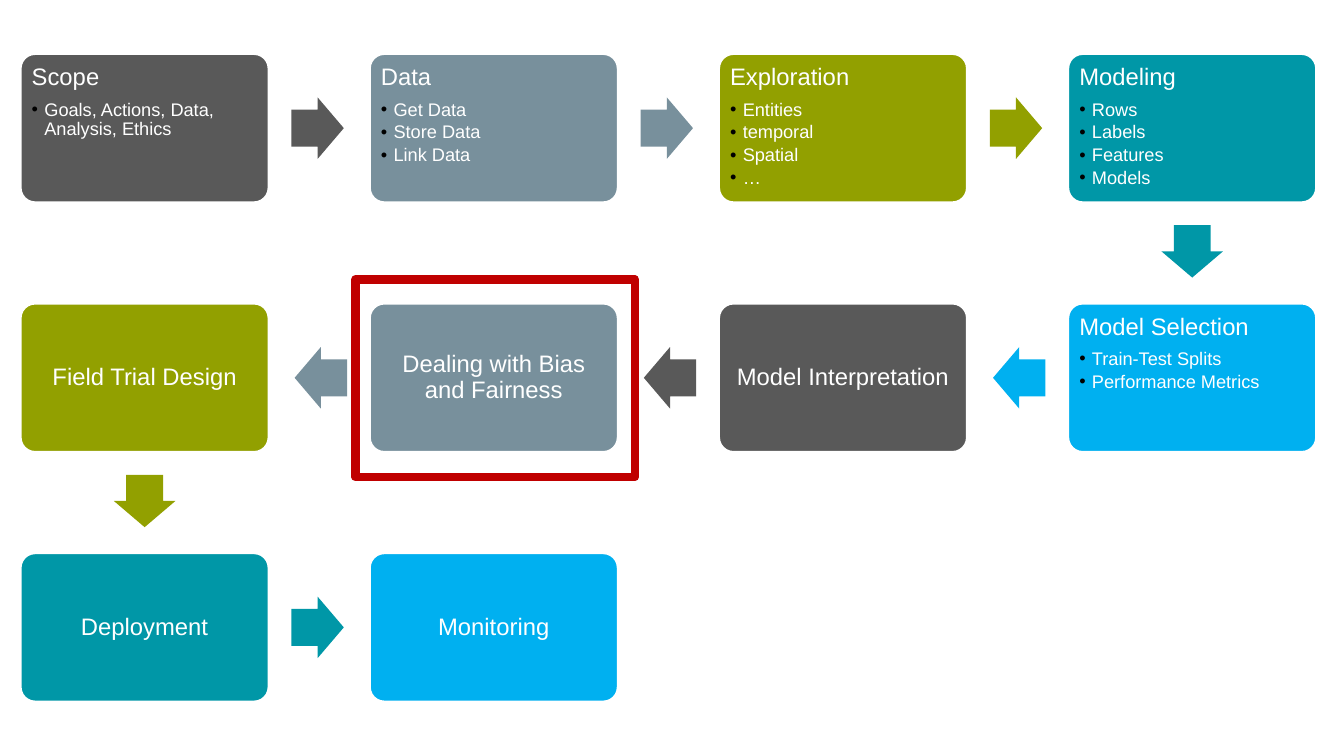
from itertools import cycle

from lxml import etree
from pptx import Presentation
from pptx.dml.color import RGBColor
from pptx.enum.shapes import MSO_SHAPE
from pptx.enum.text import MSO_ANCHOR, PP_ALIGN
from pptx.oxml.ns import qn
from pptx.util import Cm, Pt

ROUNDED, ARROW, RECTANGLE = (
    MSO_SHAPE.ROUNDED_RECTANGLE, MSO_SHAPE.RIGHT_ARROW, MSO_SHAPE.RECTANGLE)
TOP, MIDDLE = MSO_ANCHOR.TOP, MSO_ANCHOR.MIDDLE
LEFT, CENTER = PP_ALIGN.LEFT, PP_ALIGN.CENTER

WHITE = RGBColor(0xFF, 0xFF, 0xFF)
GREY = RGBColor(0x59, 0x59, 0x59)
SLATE = RGBColor(0x78, 0x90, 0x9C)
OLIVE = RGBColor(0x92, 0xA0, 0x00)
TEAL = RGBColor(0x00, 0x97, 0xA7)
BLUE = RGBColor(0x00, 0xB0, 0xF0)
RED = RGBColor(0xC0, 0x00, 0x00)

# Snake grid, in centimetres
COLUMNS = 4
GRID_LEFT, GRID_TOP = 0.51, 1.35
PITCH_X, PITCH_Y = 8.8, 6.29
STAGE_W, STAGE_H = 6.27, 3.76
ARROW_W, ARROW_H = 1.32, 1.55
ARROW_LAG = 0.04  # arrows sit slightly closer to the stage they leave

STAGES = [
    ("Scope", ["Goals, Actions, Data, Analysis, Ethics"]),
    ("Data", ["Get Data", "Store Data", "Link Data"]),
    ("Exploration", ["Entities", "temporal", "Spatial", "…"]),
    ("Modeling", ["Rows", "Labels", "Features", "Models"]),
    ("Model Selection", ["Train-Test Splits", "Performance Metrics"]),
    ("Model Interpretation", []),
    ("Dealing with Bias and Fairness", []),
    ("Field Trial Design", []),
    ("Deployment", []),
    ("Monitoring", []),
]


def stage_center(index):
    """Center of a stage; every second row runs right to left."""
    row, column = divmod(index, COLUMNS)
    if row % 2:
        column = COLUMNS - 1 - column
    return (GRID_LEFT + column * PITCH_X + STAGE_W / 2,
            GRID_TOP + row * PITCH_Y + STAGE_H / 2)


class ProcessSlide:
    font = "Arial"
    title_size, bullet_size = Pt(17), Pt(13)

    def __init__(self, slide):
        self.slide = slide

    def shape(self, kind, center, width, height):
        x, y = center
        shape = self.slide.shapes.add_shape(
            kind, Cm(x - width / 2), Cm(y - height / 2), Cm(width), Cm(height))
        shape.shadow.inherit = False
        return shape

    def paragraph(self, paragraph, text, size, space_after, align):
        paragraph.alignment = align
        paragraph.line_spacing = 0.9
        paragraph.space_after = space_after
        run = paragraph.add_run()
        run.text = text
        run.font.name = self.font
        run.font.size = size
        run.font.color.rgb = WHITE

    def bullet(self, paragraph, text):
        paragraph.level = 1
        properties = paragraph._p.get_or_add_pPr()
        properties.set("marL", str(Cm(0.32)))
        properties.set("indent", str(-Cm(0.32)))
        color = etree.SubElement(properties, qn("a:buClr"))
        etree.SubElement(color, qn("a:srgbClr"), val="000000")
        etree.SubElement(properties, qn("a:buFont"), typeface=self.font)
        etree.SubElement(properties, qn("a:buChar"), char="•")
        self.paragraph(paragraph, text, self.bullet_size, Pt(2.3), LEFT)

    def stage(self, center, color, title, bullets):
        stage = self.shape(ROUNDED, center, STAGE_W, STAGE_H)
        stage.adjustments[0] = 0.1
        stage.fill.solid()
        stage.fill.fore_color.rgb = color
        stage.line.color.rgb = WHITE
        stage.line.width = Pt(2)

        frame = stage.text_frame
        frame.word_wrap = True
        frame.vertical_anchor = TOP if bullets else MIDDLE
        frame.margin_left = frame.margin_right = Cm(0.18)
        frame.margin_top = frame.margin_bottom = Cm(0.18)
        self.paragraph(frame.paragraphs[0], title, self.title_size, Pt(6.8),
                       LEFT if bullets else CENTER)
        for text in bullets:
            self.bullet(frame.add_paragraph(), text)

    def arrow(self, start, end, color):
        (x1, y1), (x2, y2) = start, end
        step_x = (x2 > x1) - (x2 < x1)
        step_y = (y2 > y1) - (y2 < y1)
        middle = ((x1 + x2) / 2 - step_x * ARROW_LAG,
                  (y1 + y2) / 2 - step_y * ARROW_LAG)
        arrow = self.shape(ARROW, middle, ARROW_W, ARROW_H)
        arrow.adjustments[0] = 0.6
        arrow.adjustments[1] = 0.5
        arrow.rotation = 90 if step_y else 180 if step_x < 0 else 0
        arrow.fill.solid()
        arrow.fill.fore_color.rgb = color
        arrow.line.fill.background()

    def highlight(self, center, width, height):
        frame = self.shape(RECTANGLE, center, width, height)
        frame.fill.background()
        frame.line.color.rgb = RED
        frame.line.width = Pt(6)


def main():
    presentation = Presentation()
    presentation.slide_width, presentation.slide_height = Cm(33.87), Cm(19.05)
    blank_layout = presentation.slide_layouts[6]
    process = ProcessSlide(presentation.slides.add_slide(blank_layout))

    # Stages, each with an arrow to the next one
    colors = cycle([GREY, SLATE, OLIVE, TEAL, BLUE])
    for index, ((title, bullets), color) in enumerate(zip(STAGES, colors)):
        center = stage_center(index)
        process.stage(center, color, title, bullets)
        if index + 1 < len(STAGES):
            process.arrow(center, stage_center(index + 1), color)

    # Frame around the bias and fairness stage
    process.highlight((12.48, 9.53), 7.04, 4.98)

    presentation.save("out.pptx")


if __name__ == "__main__":
    main()
